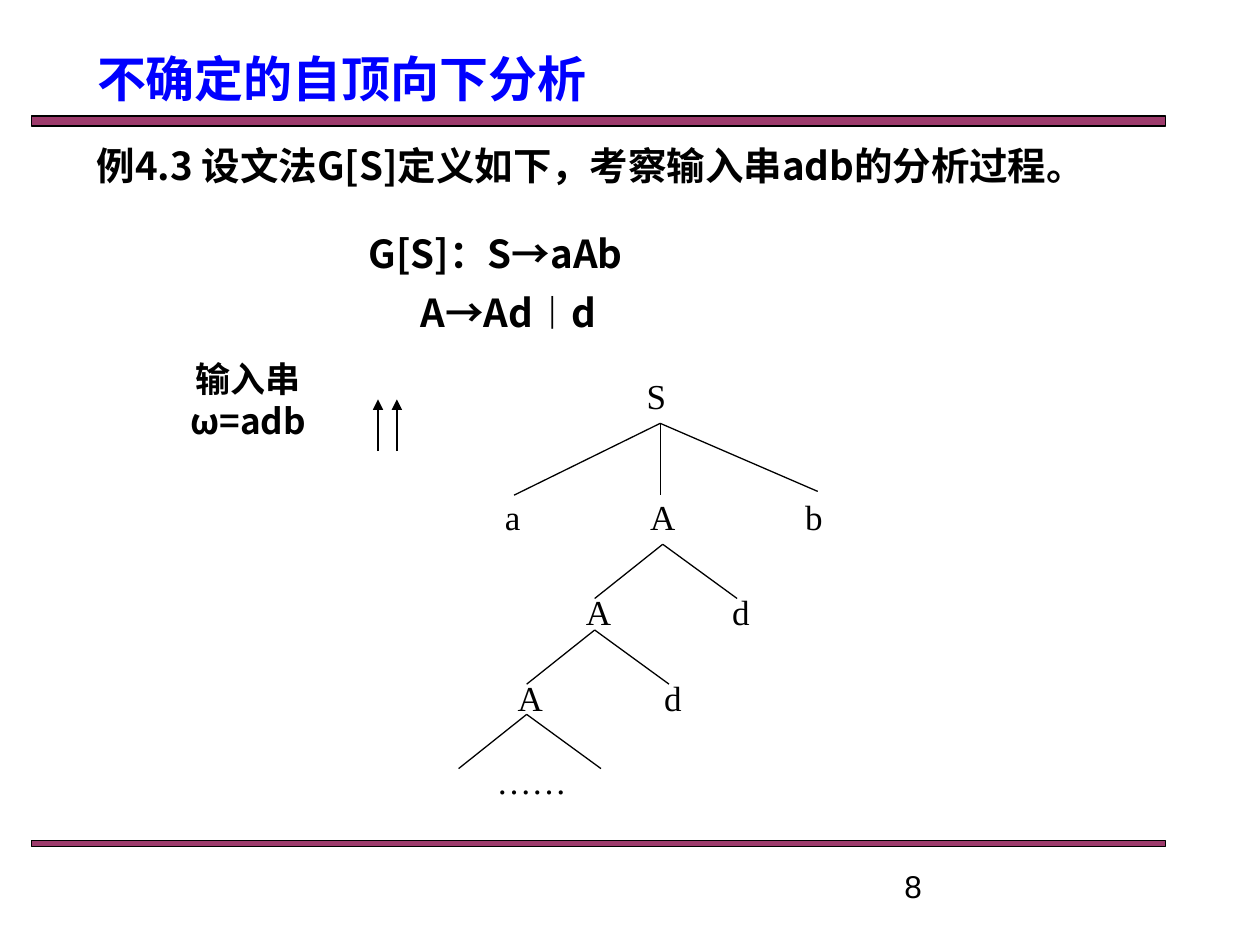
from lxml import etree
from pptx import Presentation
from pptx import util as u
from pptx.dml.color import RGBColor
from pptx.enum import shapes, text
from pptx.oxml.ns import qn

COLORS = {"title": "0000FF", "ink": "000000", "bar": "993366"}
CJK, SERIF, SANS = "Noto Sans CJK SC", "Times New Roman", "Arial"

TITLE = "不确定的自顶向下分析"
EXAMPLE = "例4.3 设文法G[S]定义如下，考察输入串adb的分析过程。"
GRAMMAR = ["G[S]：S→aAb", "A→Ad︱d"]
INPUT_STRING = ["输入串", "ω=adb"]
PAGE_NUMBER = "8"

BARS = [(0.92, 0.08), (6.67, 0.05)]  # top, height
# Tree labels: text, centre, top
LABELS = [
    ("S", 5.21, 2.92),
    ("a", 4.07, 3.88), ("A", 5.26, 3.88), ("b", 6.46, 3.88),
    ("A", 4.75, 4.64), ("d", 5.88, 4.64),
    ("A", 4.21, 5.32), ("d", 5.34, 5.32),
    ("……", 4.22, 5.98),
]
# Tree branches: parent point, child points
BRANCHES = [((5.24, 3.36), [(4.08, 3.93), (5.24, 3.93), (6.49, 3.9)])]
for x, y in [(5.26, 4.32), (4.72, 5), (4.18, 5.67)]:
    BRANCHES.append(((x, y), [(x - 0.54, y + 0.43), (x + 0.59, y + 0.43)]))
POINTER_XS = [3, 3.15]
POINTER_TOP, POINTER_BOTTOM = 3.17, 3.58


def color(name):
    return RGBColor.from_string(COLORS[name])


def add_run(paragraph, words, size, font, bold=False, ink="ink"):
    run = paragraph.add_run()
    run.text = words
    run.font.size = u.Pt(size)
    run.font.name = font
    run.font.bold = bold
    run.font.color.rgb = color(ink)
    if font != SANS:
        east_asian = etree.SubElement(run._r.get_or_add_rPr(), qn("a:ea"))
        east_asian.set("typeface", CJK)


def add_text(slide, box, lines, size, font, bold=False, align=text.PP_ALIGN.LEFT,
             spacing=None):
    """Add a text box with one paragraph per line and return its text frame."""
    frame = slide.shapes.add_textbox(*map(u.Inches, box)).text_frame
    frame.word_wrap = True
    for index, line in enumerate(lines):
        paragraph = frame.add_paragraph() if index else frame.paragraphs[0]
        paragraph.alignment = align
        if spacing:
            paragraph.line_spacing = u.Pt(spacing)
        add_run(paragraph, line, size, font, bold)
    return frame


def add_line(slide, start, end, arrow=False):
    """Add a thin line, with an arrowhead at its end if asked."""
    line = slide.shapes.add_connector(
        shapes.MSO_CONNECTOR.STRAIGHT, *map(u.Inches, (*start, *end)))
    line.line.color.rgb = color("ink")
    line.line.width = u.Pt(0.75)
    if arrow:
        etree.SubElement(line.line._get_or_add_ln(), qn("a:tailEnd")).set("type", "triangle")
    etree.SubElement(line._element.spPr, qn("a:effectLst"))


def add_bar(slide, top, height):
    bar = slide.shapes.add_shape(
        shapes.MSO_SHAPE.RECTANGLE, *map(u.Inches, (0.25, top, 9, height)))
    bar.shadow.inherit = False
    bar.fill.solid()
    bar.fill.fore_color.rgb = color("bar")
    fill_color = bar._element.spPr.find(".//" + qn("a:srgbClr"))
    etree.SubElement(fill_color, qn("a:alpha")).set("val", "96000")
    bar.line.color.rgb = color("ink")
    bar.line.width = u.Pt(0.75)


def add_title(slide):
    title = slide.shapes.title
    title.left, title.top, title.width, title.height = map(
        u.Inches, (0.67, 0.33, 6.42, 0.58))
    title.text_frame.vertical_anchor = text.MSO_ANCHOR.MIDDLE
    paragraph = title.text_frame.paragraphs[0]
    paragraph.alignment = text.PP_ALIGN.LEFT
    add_run(paragraph, TITLE, 28, SERIF, True, "title")


def main():
    presentation = Presentation()
    presentation.slide_width, presentation.slide_height = u.Inches(10), u.Inches(7.5)
    slide = presentation.slides.add_slide(presentation.slide_layouts[5])
    center = text.PP_ALIGN.CENTER

    for top, height in BARS:
        add_bar(slide, top, height)
    add_title(slide)
    add_text(slide, (0.67, 1.08, 8.58, 0.47), [EXAMPLE], 22, CJK, True)
    grammar = add_text(slide, (2.83, 1.67, 4.17, 1.03), GRAMMAR, 22, CJK, True, spacing=34)
    grammar.paragraphs[1]._p.get_or_add_pPr().set("marL", str(u.Inches(0.41)))
    add_text(slide, (1.32, 2.79, 1.3, 0.76), INPUT_STRING, 20, CJK, True, center, 24)
    add_text(slide, (7.08, 6.83, 2.33, 0.27), [PAGE_NUMBER], 18, SANS)

    for parent, children in BRANCHES:
        for child in children:
            add_line(slide, parent, child)
    label_width = 0.8
    for label, middle, top in LABELS:
        add_text(slide, (middle - label_width / 2, top, label_width, 0.44),
                 [label], 20, SERIF, align=center)
    for x in POINTER_XS:
        add_line(slide, (x, POINTER_BOTTOM), (x, POINTER_TOP), arrow=True)

    presentation.save("out.pptx")


if __name__ == "__main__":
    main()
